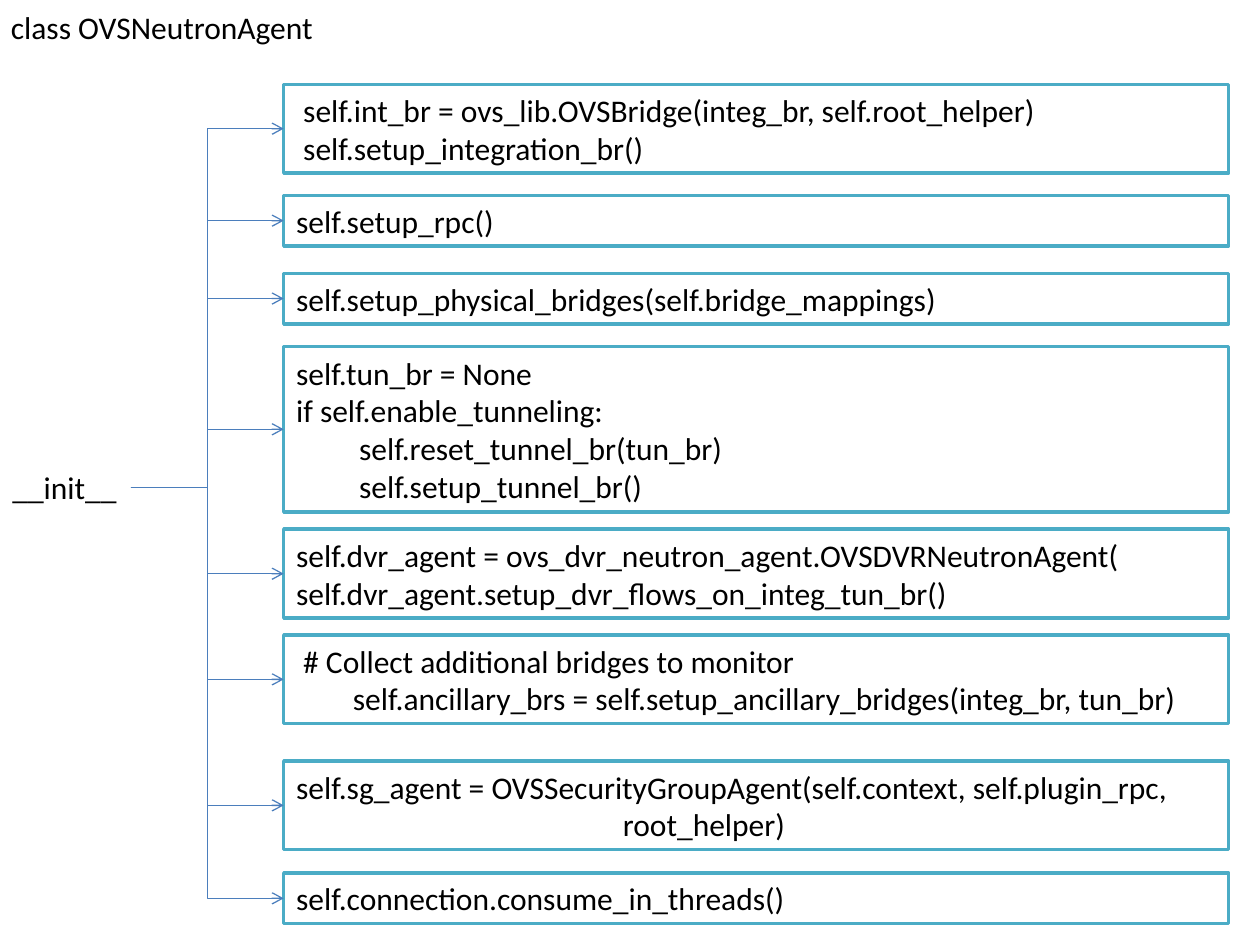
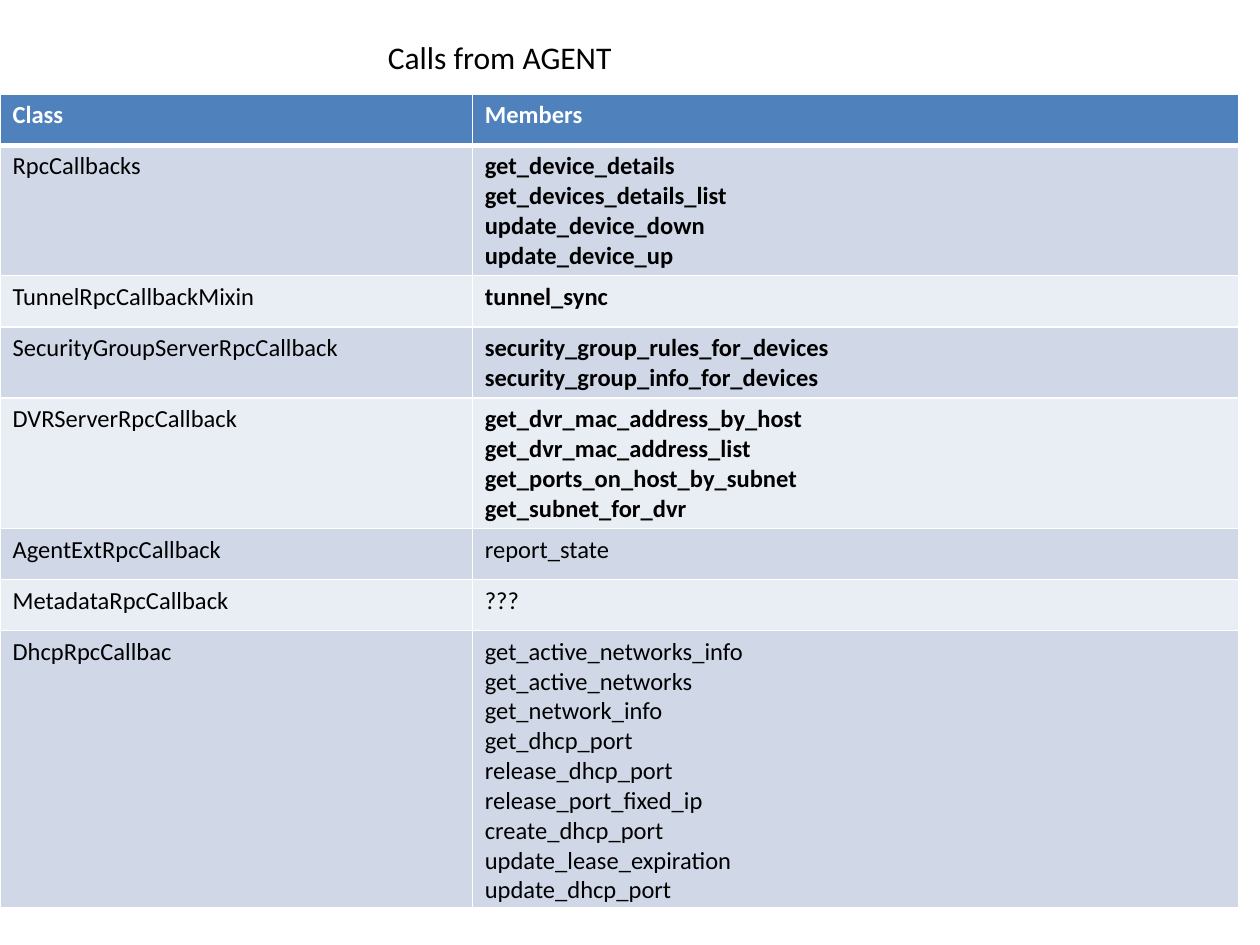
from collections import namedtuple
from dataclasses import dataclass

from lxml.etree import SubElement
from pptx import Presentation
from pptx.dml.color import RGBColor as RGB
from pptx.enum.shapes import MSO_CONNECTOR as CONN, MSO_SHAPE as SHAPE
from pptx.enum.text import MSO_AUTO_SIZE as FIT, PP_ALIGN as ALIGN
from pptx.oxml.ns import qn
from pptx.util import Cm, Pt

Box = namedtuple("Box", "left top width height")


@dataclass(frozen=True)
class Theme:
    """Colours, fonts and sizes shared by the slides."""
    font: str = "Calibri"
    text: str = "000000"
    paper: str = "FFFFFF"
    frame: str = "4BACC6"
    arrow: str = "4B7EBC"
    header: str = "4F81BD"
    bands: tuple = ("D0D8E8", "E9EDF4")
    body_size: int = 18
    table_size: int = 14
    frame_width: float = 2
    arrow_width: float = 0.75
    rule: float = 1
    header_rule: float = 3


THEME = Theme()

INIT_STEPS = [
    (1.7, [" self.int_br = ovs_lib.OVSBridge(integ_br, self.root_helper)",
           " self.setup_integration_br()"]),
    (3.94, ["self.setup_rpc()"]),
    (5.51, ["self.setup_physical_bridges(self.bridge_mappings)"]),
    (6.99, ["self.tun_br = None",
            "if self.enable_tunneling:",
            "\tself.reset_tunnel_br(tun_br)",
            "\tself.setup_tunnel_br()"]),
    (10.67, ["self.dvr_agent = ovs_dvr_neutron_agent.OVSDVRNeutronAgent(",
             "self.dvr_agent.setup_dvr_flows_on_integ_tun_br()"]),
    (12.8, [" # Collect additional bridges to monitor",
            "        self.ancillary_brs = self.setup_ancillary_bridges(integ_br, tun_br)"]),
    (15.34, ["self.sg_agent = OVSSecurityGroupAgent(self.context, self.plugin_rpc,",
             "                                              root_helper)"]),
    (17.6, ["self.connection.consume_in_threads()"]),
]

CALLBACKS = [
    ("RpcCallbacks", True, ["get_device_details", "get_devices_details_list",
                            "update_device_down", "update_device_up"]),
    ("TunnelRpcCallbackMixin", True, ["tunnel_sync"]),
    ("SecurityGroupServerRpcCallback", True, ["security_group_rules_for_devices",
                                              "security_group_info_for_devices"]),
    ("DVRServerRpcCallback", True, ["get_dvr_mac_address_by_host", "get_dvr_mac_address_list",
                                    "get_ports_on_host_by_subnet", "get_subnet_for_dvr"]),
    ("AgentExtRpcCallback", False, ["report_state"]),
    ("MetadataRpcCallback", False, ["???"]),
    ("DhcpRpcCallbac", False, ["get_active_networks_info", "get_active_networks",
                               "get_network_info", "get_dhcp_port", "release_dhcp_port",
                               "release_port_fixed_ip", "create_dhcp_port",
                               "update_lease_expiration", "update_dhcp_port"]),
]


def rgb(code):
    """Return the colour for a hex code."""
    return RGB.from_string(code)


def write(tf, text, size=THEME.body_size, color=THEME.text, bold=False):
    """Fill a text frame with left-aligned text in the shared font."""
    tf.text = text
    for p in tf.paragraphs:
        p.alignment = ALIGN.LEFT
        for r in p.runs:
            r.font.name = THEME.font
            r.font.size = Pt(size)
            r.font.bold = bold
            r.font.color.rgb = rgb(color)


def add_label(s, box, text):
    """Add an unwrapped text label."""
    sp = s.shapes.add_textbox(*map(Cm, box))
    write(sp.text_frame, text)
    sp.text_frame.word_wrap = False
    sp.text_frame.auto_size = FIT.SHAPE_TO_FIT_TEXT
    return sp


def add_code_box(s, left, top, width, lines):
    """Add a framed code box whose height follows its line count."""
    height = 0.25 + 0.77 * len(lines)
    sp = s.shapes.add_shape(SHAPE.RECTANGLE, *map(Cm, (left, top, width, height)))
    sp.shadow.inherit = False
    sp.fill.solid()
    sp.fill.fore_color.rgb = rgb(THEME.paper)
    sp.line.color.rgb = rgb(THEME.frame)
    sp.line.width = Pt(THEME.frame_width)
    write(sp.text_frame, "\n".join(lines))
    sp.text_frame.word_wrap = True
    sp.text_frame.auto_size = FIT.SHAPE_TO_FIT_TEXT
    return sp


def add_arrow(s, source, target):
    """Join the right side of one shape to the left side of another."""
    c = s.shapes.add_connector(CONN.ELBOW, 0, 0, 0, 0)
    c.begin_connect(source, 3)
    c.end_connect(target, 1)
    c.line.color.rgb = rgb(THEME.arrow)
    c.line.width = Pt(THEME.arrow_width)
    props = c._element.spPr
    SubElement(props.find(qn("a:ln")), qn("a:tailEnd"), type="arrow")
    SubElement(props, qn("a:effectLst"))


def add_call_tree(s, box, root, steps):
    """Draw the root label and an arrow to each of its code boxes."""
    label = add_label(s, Box(box.left, box.top + 9.32, 2.64, 1.02), root)
    indent = 5.72
    targets = [add_code_box(s, box.left + indent, box.top + top, box.width - indent, lines)
               for top, lines in steps]
    for target in targets:
        add_arrow(s, label, target)


def style_cell(cell, text, fill, color=THEME.text, bold=False,
               top=THEME.rule, bottom=THEME.rule):
    """Set the borders, fill and text of a table cell."""
    props = cell._tc.get_or_add_tcPr()
    for side, width in zip("LRTB", (THEME.rule, THEME.rule, top, bottom)):
        ln = SubElement(props, qn(f"a:ln{side}"), w=str(Pt(width)))
        SubElement(SubElement(ln, qn("a:solidFill")), qn("a:srgbClr"), val=THEME.paper)
    cell.fill.solid()
    cell.fill.fore_color.rgb = rgb(fill)
    write(cell.text_frame, text, THEME.table_size, color, bold)


def add_callback_table(s, box, header, callbacks):
    """Add the banded table of callback classes and their members."""
    table = s.shapes.add_table(len(callbacks) + 1, 2, *map(Cm, box)).table
    first_width = 9.52
    table.columns[0].width = Cm(first_width)
    table.columns[1].width = Cm(box.width - first_width)
    for row in table.rows:
        row.height = Cm(1.03)
    for col, title in enumerate(header):
        style_cell(table.cell(0, col), title, THEME.header, THEME.paper, True,
                   bottom=THEME.header_rule)
    for i, (name, bold, members) in enumerate(callbacks):
        fill = THEME.bands[i % 2]
        top = THEME.rule if i else THEME.header_rule
        style_cell(table.cell(i + 1, 0), name, fill, top=top)
        style_cell(table.cell(i + 1, 1), "\n".join(members), fill, bold=bold, top=top)


def build_init_slide(s, box):
    """Build the slide of calls made by the agent constructor."""
    add_call_tree(s, box, "__init__", INIT_STEPS)
    add_label(s, Box(box.left - 0.03, box.top + 0.03, 6.65, 1.02), "class OVSNeutronAgent")


def build_calls_slide(s, box):
    """Build the slide of calls from the agent."""
    add_callback_table(s, Box(box.left, box.top + 1.9, box.width, 8.24),
                       ("Class", "Members"), CALLBACKS)
    add_label(s, Box(box.left + 7.57, box.top + 0.64, 5.05, 1.02), "Calls from AGENT")


def main():
    """Build and save the presentation."""
    prs = Presentation()
    prs.slide_width, prs.slide_height = Cm(25.4), Cm(19.05)
    blank = prs.slide_layouts[6]
    build_init_slide(prs.slides.add_slide(blank), Box(0, 0, 24.77, 19.05))
    build_calls_slide(prs.slides.add_slide(blank), Box(0, 0, 24.97, 19.05))
    prs.save("out.pptx")


if __name__ == "__main__":
    main()
